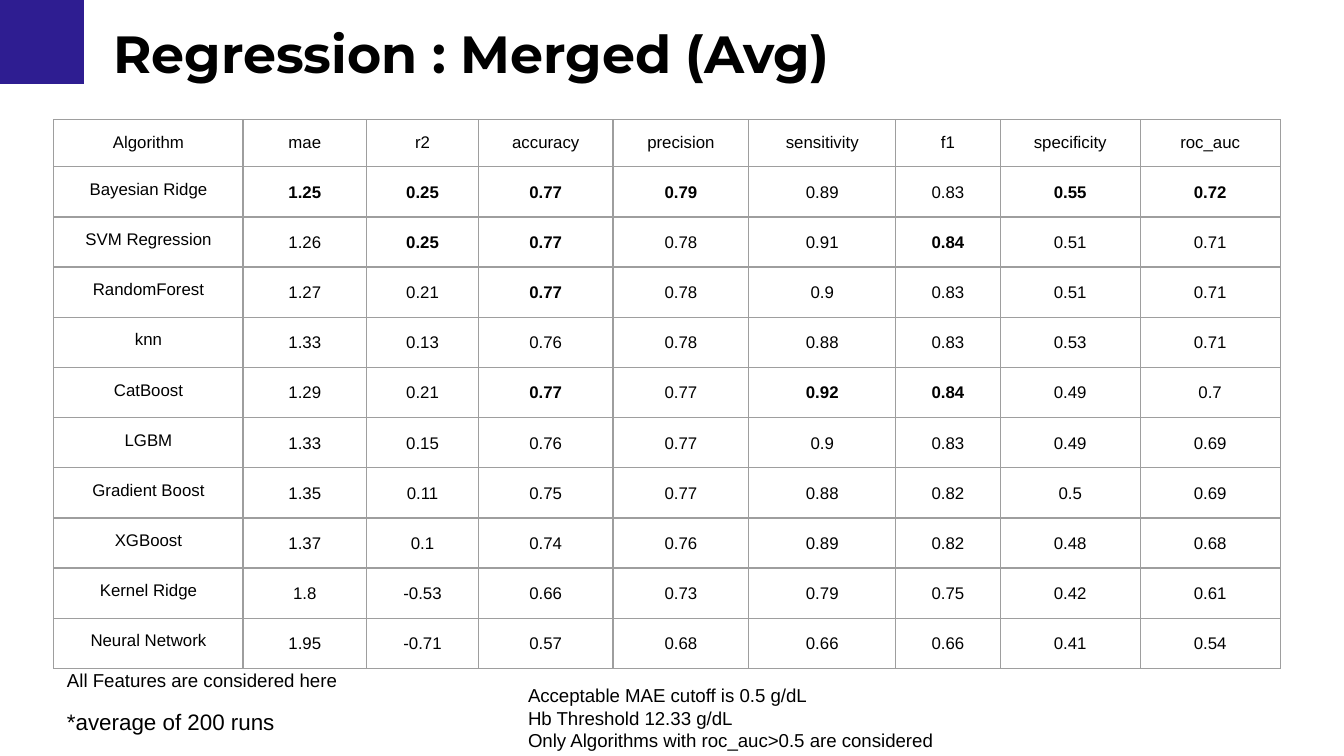
from lxml import etree
from pptx import Presentation
from pptx.dml.color import RGBColor
from pptx.enum import shapes, text
from pptx.oxml.ns import qn
from pptx.util import Pt

COLORS = {"accent": "2E1D91", "text": "000000", "border": "9E9E9E"}
INSET = Pt(7.2)

HEADERS = ["Algorithm", "mae", "r2", "accuracy", "precision", "sensitivity",
           "f1", "specificity", "roc_auc"]
RESULTS = [
    ("Bayesian Ridge", 1.25, 0.25, 0.77, 0.79, 0.89, 0.83, 0.55, 0.72),
    ("SVM Regression", 1.26, 0.25, 0.77, 0.78, 0.91, 0.84, 0.51, 0.71),
    ("RandomForest", 1.27, 0.21, 0.77, 0.78, 0.9, 0.83, 0.51, 0.71),
    ("knn", 1.33, 0.13, 0.76, 0.78, 0.88, 0.83, 0.53, 0.71),
    ("CatBoost", 1.29, 0.21, 0.77, 0.77, 0.92, 0.84, 0.49, 0.7),
    ("LGBM", 1.33, 0.15, 0.76, 0.77, 0.9, 0.83, 0.49, 0.69),
    ("Gradient Boost", 1.35, 0.11, 0.75, 0.77, 0.88, 0.82, 0.5, 0.69),
    ("XGBoost", 1.37, 0.1, 0.74, 0.76, 0.89, 0.82, 0.48, 0.68),
    ("Kernel Ridge", 1.8, -0.53, 0.66, 0.73, 0.79, 0.75, 0.42, 0.61),
    ("Neural Network", 1.95, -0.71, 0.57, 0.68, 0.66, 0.66, 0.41, 0.54),
]
COLUMN_WIDTHS = [101.4, 66.2, 60, 72, 72.8, 78.7, 56, 75, 75]
ROW_HEIGHT = 20.9


def write_text(frame, lines, size, font="Arial", bold=False, spacing=None,
               align=text.PP_ALIGN.LEFT):
    frame.text = "\n".join(lines)
    for paragraph in frame.paragraphs:
        paragraph.alignment = align
        if spacing:
            paragraph.line_spacing = spacing
        for run in paragraph.runs:
            run.font.name = font
            run.font.size = Pt(size)
            run.font.bold = bold
            run.font.color.rgb = RGBColor.from_string(COLORS["text"])


def set_frame(frame, grow):
    frame.word_wrap = True
    frame.vertical_anchor = text.MSO_ANCHOR.TOP
    frame.margin_left = frame.margin_right = INSET
    frame.margin_top = frame.margin_bottom = INSET
    frame.auto_size = (text.MSO_AUTO_SIZE.SHAPE_TO_FIT_TEXT if grow
                       else text.MSO_AUTO_SIZE.NONE)


def add_corner(slide, left, top, width, height):
    corner = slide.shapes.add_shape(shapes.MSO_SHAPE.RECTANGLE, Pt(left), Pt(top),
                                    Pt(width), Pt(height))
    corner.shadow.inherit = False
    corner.fill.solid()
    corner.fill.fore_color.rgb = RGBColor.from_string(COLORS["accent"])
    corner.line.fill.background()


def place_title(slide, title_text, left, top, width, height):
    title = slide.shapes.title
    title.left, title.top = Pt(left), Pt(top)
    title.width, title.height = Pt(width), Pt(height)
    set_frame(title.text_frame, grow=True)
    write_text(title.text_frame, [title_text], size=28, font="Montserrat", bold=True)


def add_note(slide, lines, left, top, width, height, size=10, grow=True):
    note = slide.shapes.add_textbox(Pt(left), Pt(top), Pt(width), Pt(height))
    set_frame(note.text_frame, grow)
    write_text(note.text_frame, lines, size=size)


def set_borders(cell):
    properties = cell._tc.get_or_add_tcPr()
    for position, side in enumerate(("a:lnL", "a:lnR", "a:lnT", "a:lnB")):
        line = etree.Element(qn(side), w=str(Pt(0.75)))
        fill = etree.SubElement(line, qn("a:solidFill"))
        etree.SubElement(fill, qn("a:srgbClr"), val=COLORS["border"])
        properties.insert(position, line)


def add_results_table(slide, left, top):
    rows = [HEADERS, *RESULTS]
    table = slide.shapes.add_table(
        len(rows), len(HEADERS), Pt(left), Pt(top),
        Pt(sum(COLUMN_WIDTHS)), Pt(ROW_HEIGHT * len(rows))).table
    table.first_row = table.horz_banding = False
    for column, width in zip(table.columns, COLUMN_WIDTHS):
        column.width = Pt(width)
    for row in table.rows:
        row.height = Pt(ROW_HEIGHT)

    # The best score of each column is bold: lowest error, highest of the rest
    best = [min(scores) if header == "mae" else max(scores)
            for header, scores in zip(HEADERS[1:], list(zip(*RESULTS))[1:])]
    for row_index, values in enumerate(rows):
        for column_index, value in enumerate(values):
            cell = table.cell(row_index, column_index)
            is_score = row_index > 0 and column_index > 0
            cell.margin_left = cell.margin_right = INSET
            cell.margin_top = cell.margin_bottom = INSET
            cell.fill.background()
            set_borders(cell)
            write_text(cell.text_frame, [str(value)], size=9,
                       bold=is_score and value == best[column_index - 1],
                       spacing=1.15 if is_score else None,
                       align=text.PP_ALIGN.CENTER)


def main():
    presentation = Presentation()
    presentation.slide_width, presentation.slide_height = Pt(720), Pt(405)
    slide = presentation.slides.add_slide(presentation.slide_layouts[5])

    # Heading
    add_corner(slide, 0, 0, 45, 45)
    place_title(slide, "Regression : Merged (Avg)", 53.5, 4.3, 607.7, 48.2)

    # Scores
    add_results_table(slide, 28.8, 64.1)

    # Notes below the table
    add_note(slide, ["Acceptable MAE cutoff is 0.5 g/dL",
                     "Hb Threshold 12.33 g/dL",
                     "Only Algorithms with roc_auc>0.5 are considered"],
             275.8, 359.3, 239.8, 63.4)
    add_note(slide, ["All Features are considered here"], 28.8, 352.1, 167, 26.6)
    add_note(slide, ["*average of 200 runs"], 28.8, 372.2, 126.7, 32.4,
             size=12, grow=False)

    presentation.save("out.pptx")


if __name__ == "__main__":
    main()
